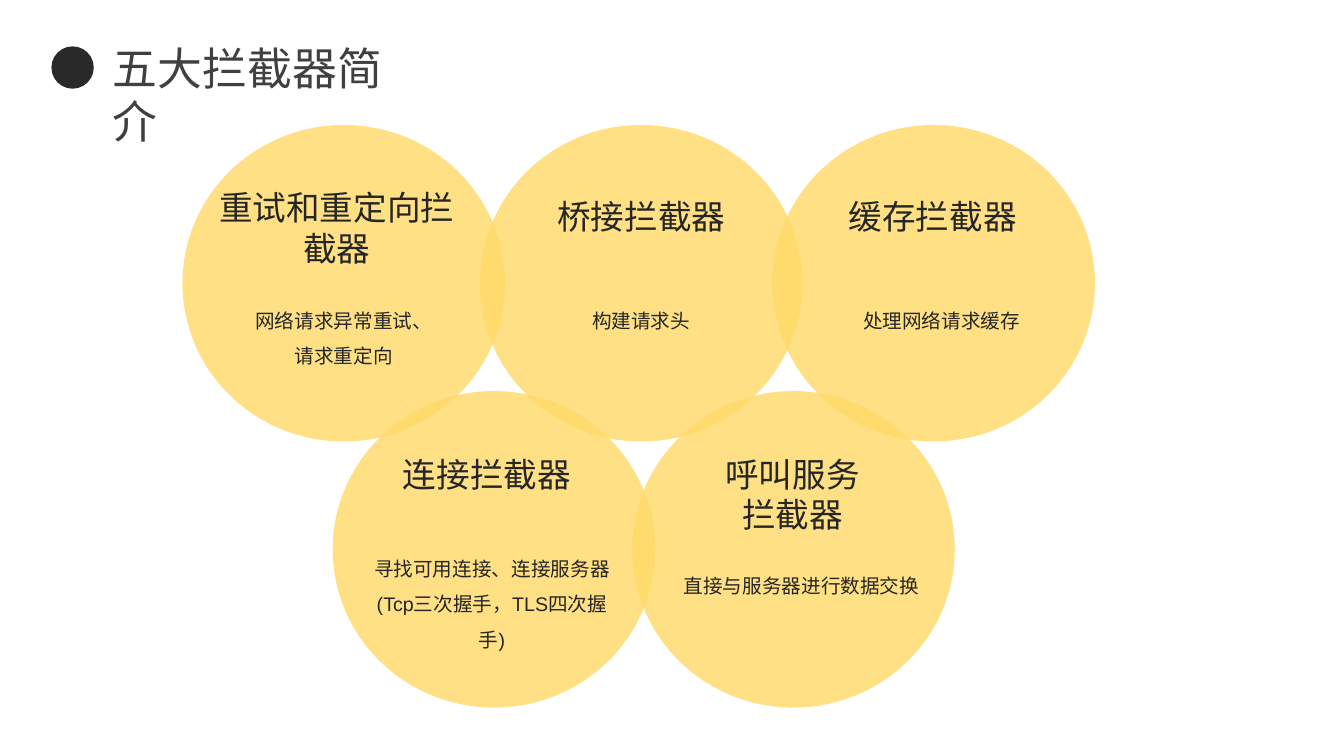
from lxml import etree
from pptx import Presentation
from pptx.dml.color import RGBColor
from pptx.enum.shapes import MSO_SHAPE as SHAPE
from pptx.enum.text import MSO_ANCHOR as ANCHOR, MSO_AUTO_SIZE as AUTO, PP_ALIGN as ALIGN
from pptx.oxml.ns import qn
from pptx.util import Pt

PX = 9144  # 100 px to the inch
YELLOW = RGBColor(0xFF, 0xD9, 0x66)
BLACK = RGBColor(0x29, 0x29, 0x29)
TITLE_GREY = RGBColor(0x40, 0x40, 0x40)
TEXT_GREY = RGBColor(0x26, 0x26, 0x26)

TITLE = dict(size=Pt(32), name="Arial")
HEADING = dict(size=Pt(24), name="Arial")
DETAIL = dict(size=Pt(14), name="Arial")

prs = Presentation()
prs.slide_width, prs.slide_height = 1333 * PX, 750 * PX
s = prs.slides.add_slide(prs.slide_layouts[5])


def add_circle(x, y, w, h, color):
    sp = s.shapes.add_shape(SHAPE.OVAL, x * PX, y * PX, w * PX, h * PX)
    sp.shadow.inherit = False
    sp.fill.solid()
    sp.fill.fore_color.rgb = color
    sp.line.fill.background()
    return sp


def write(sp, box, lines, font, color, align, spacing=1.0):
    sp.left, sp.top, sp.width, sp.height = (v * PX for v in box)
    tf = sp.text_frame
    tf.word_wrap = True
    tf.auto_size = AUTO.NONE
    tf.vertical_anchor = ANCHOR.TOP
    for i, line in enumerate(lines):
        p = tf.add_paragraph() if i else tf.paragraphs[0]
        p.alignment, p.line_spacing = align, spacing
        r = p.add_run()
        r.text = line
        for key, value in font.items():
            setattr(r.font, key, value)
        r.font.color.rgb = color


# Title with its dot
add_circle(51, 46, 42, 42, BLACK)
write(s.shapes.title, (102, 35, 325, 64), ["五大拦截器简介"], TITLE, TITLE_GREY, ALIGN.LEFT)

# Interceptors: circle x and y, heading x and y, heading, detail x and y, detail
TOP, BOTTOM = 124, 388
interceptors = [
    (181, TOP, 199, 181, ["重试和重定向拦截器"],
     206, 290, ["网络请求异常重试、", "请求重定向"]),
    (476, TOP, 501, 189, ["桥接拦截器"], 501, 290, ["构建请求头"]),
    (766, TOP, 790, 189, ["缓存拦截器"], 799, 290, ["处理网络请求缓存"]),
    (330, BOTTOM, 348, 445, ["连接拦截器"],
     353, 536, ["寻找可用连接、连接服务器", "(Tcp三次握手，TLS四次握手)"]),
    (627, BOTTOM, 651, 445, ["呼叫服务", "拦截器"], 660, 553, ["直接与服务器进行数据交换"]),
]
TEXT_W = 270

for x, y, head_x, head_y, heading, detail_x, detail_y, detail in interceptors:
    circle = add_circle(x, y, 320, 314, YELLOW)
    # 80 % opaque, so that overlaps show
    rgb = circle.fill._xPr.find(qn("a:solidFill")).find(qn("a:srgbClr"))
    etree.SubElement(rgb, qn("a:alpha"), val="80000")

    for box, lines, font, spacing in (
        ((head_x, head_y, TEXT_W, 10 + 40 * len(heading)), heading, HEADING, 1.0),
        ((detail_x, detail_y, TEXT_W, 10 + 35 * len(detail)), detail, DETAIL, 1.5),
    ):
        sp = s.shapes.add_textbox(0, 0, PX, PX)
        write(sp, box, lines, font, TEXT_GREY, ALIGN.CENTER, spacing)

prs.save("out.pptx")
